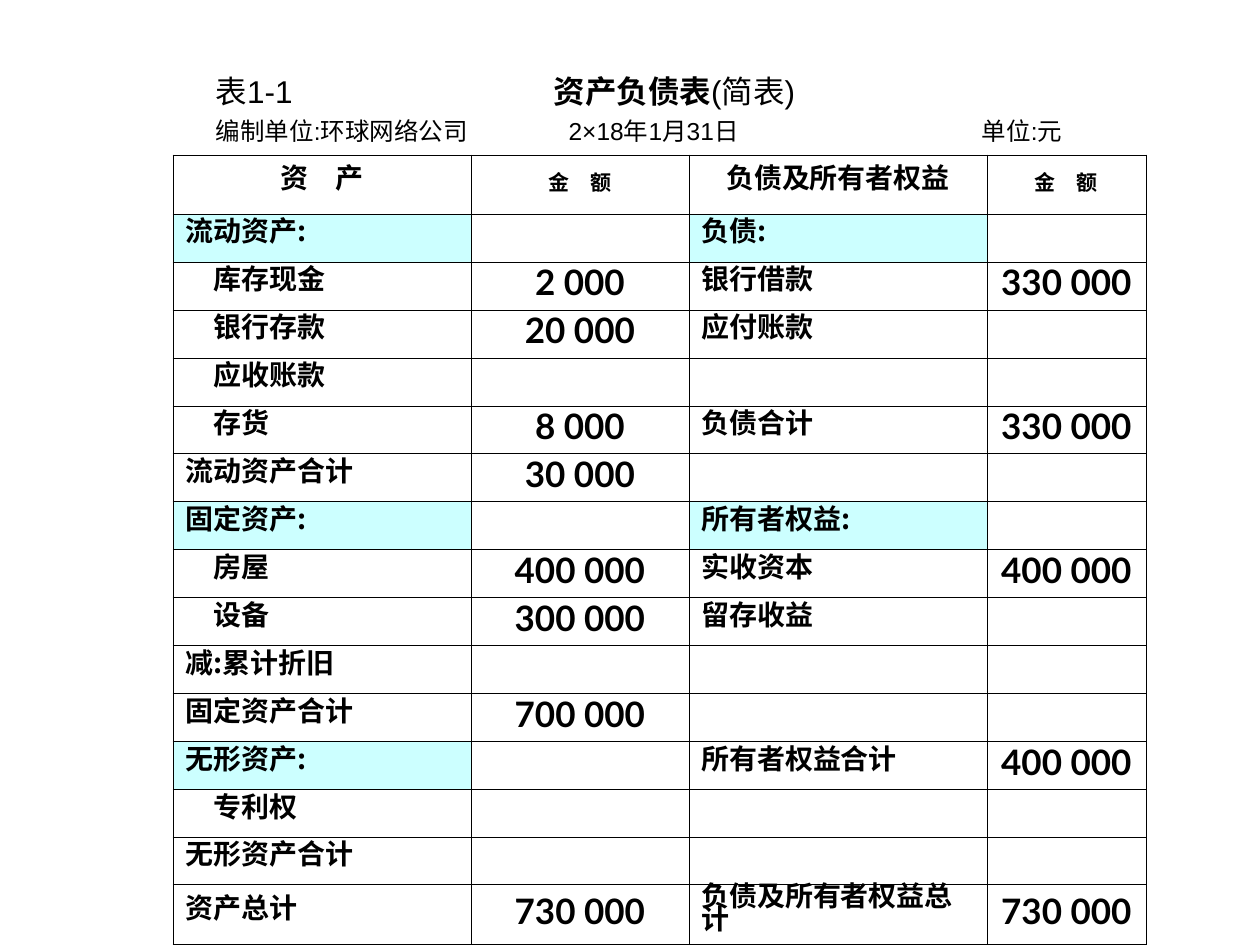
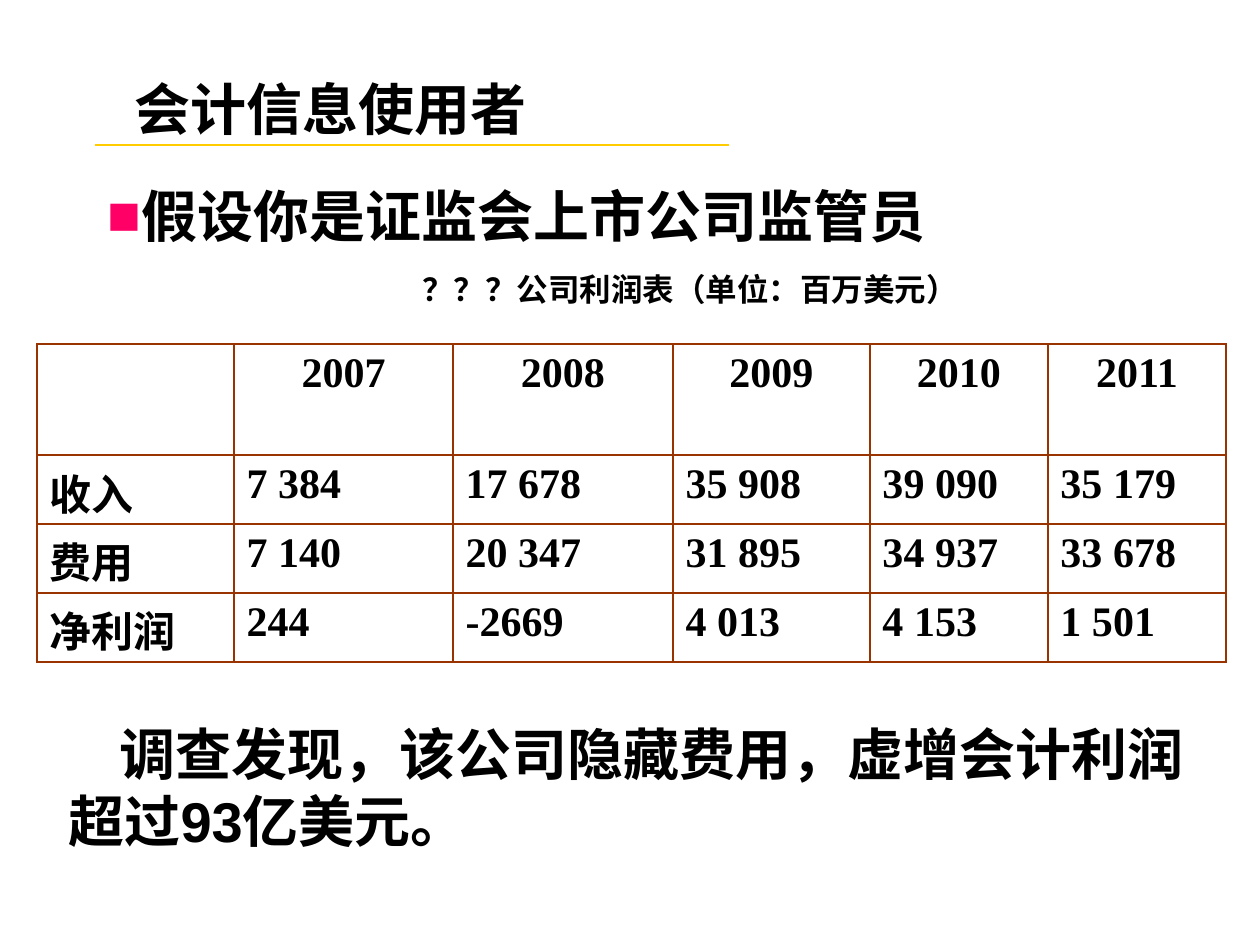
from lxml import etree
from pptx import Presentation
from pptx.dml.color import RGBColor
from pptx.enum.lang import MSO_LANGUAGE_ID
from pptx.enum.shapes import MSO_CONNECTOR
from pptx.enum.text import MSO_ANCHOR, MSO_AUTO_SIZE, PP_ALIGN
from pptx.oxml import parse_xml
from pptx.oxml.ns import nsdecls, qn
from pptx.util import Pt

PX = 914400 / 126
BLACK = RGBColor(0x00, 0x00, 0x00)
AQUA = RGBColor(0xCC, 0xFF, 0xFF)
YELLOW = RGBColor(0xFF, 0xCC, 0x00)
PINK = RGBColor(0xFF, 0x00, 0x66)
BROWN = RGBColor(0x99, 0x33, 0x00)
LEFT, CENTER = PP_ALIGN.LEFT, PP_ALIGN.CENTER
TOP, MIDDLE = MSO_ANCHOR.TOP, MSO_ANCHOR.MIDDLE
GROW = MSO_AUTO_SIZE.SHAPE_TO_FIT_TEXT
CHINESE = MSO_LANGUAGE_ID.SIMPLIFIED_CHINESE
CJK = "Noto Sans CJK SC"


def add_run(p, text, size, name="Arial", bold=True, east_asian=None):
    r = p.add_run()
    r.text = text
    fmt = {"size": Pt(size), "name": name, "bold": bold, "language_id": CHINESE}
    for key, value in fmt.items():
        setattr(r.font, key, value)
    r.font.color.rgb = BLACK
    ea = etree.SubElement(r.font._element, qn("a:ea"))
    ea.set("typeface", east_asian or name)


def add_grid(s, left, top, cols, rows, color, width):
    """Add an unfilled table with the same border round every cell."""
    box = [round(v * PX) for v in (left, top, sum(cols), sum(rows))]
    table = s.shapes.add_table(len(rows), len(cols), *box).table
    table.first_row = table.horz_banding = False
    for col, w in zip(table.columns, cols):
        col.width = round(w * PX)
    for row, h in zip(table.rows, rows):
        row.height = round(h * PX)
    for cell in table.iter_cells():
        cell.fill.background()
        tcPr = cell._tc.get_or_add_tcPr()
        for i, side in enumerate("LRTB"):
            tcPr.insert(i, parse_xml(
                f'<a:ln{side} {nsdecls("a")} w="{Pt(width)}"><a:solidFill>'
                f'<a:srgbClr val="{color}"/></a:solidFill></a:ln{side}>'))
    return table


prs = Presentation()
prs.slide_width, prs.slide_height = round(1260 * PX), round(945 * PX)

# Slide 1: balance sheet
s = prs.slides.add_slide(prs.slide_layouts[5])
sp = s.shapes.title
sp.left, sp.top, sp.width, sp.height = [round(v * PX) for v in (203, 66, 963, 86)]
tf = sp.text_frame
tf.word_wrap, tf.auto_size, tf.vertical_anchor = True, GROW, TOP
caption_lines = [
    ([338], [("表1-1\t", 18, False), ("资产负债表", 18, True), ("(简表)", 18, False)]),
    ([353, 766], [("编制单位:环球网络公司\t2×18年1月31日\t单位:元", 14, False)]),
]
for i, (stops, runs) in enumerate(caption_lines):
    p = tf.add_paragraph() if i else tf.paragraphs[0]
    p.alignment = LEFT
    if i:
        p.space_before = Pt(3.5)
    tabs = etree.SubElement(p._p.get_or_add_pPr(), qn("a:tabLst"))
    for stop in stops:
        etree.SubElement(tabs, qn("a:tab"), pos=str(round(stop * PX)), algn="l")
    for text, size, bold in runs:
        add_run(p, text, size, bold=bold)

balance_rows = [
    ("资　产", "金　额", "负债及所有者权益", "金　额"),
    ("流动资产:", "", "负债:", ""),
    ("库存现金", "2 000", "银行借款", "330 000"),
    ("银行存款", "20 000", "应付账款", ""),
    ("应收账款", "", "", ""),
    ("存货", "8 000", "负债合计", "330 000"),
    ("流动资产合计", "30 000", "", ""),
    ("固定资产:", "", "所有者权益:", ""),
    ("房屋", "400 000", "实收资本", "400 000"),
    ("设备", "300 000", "留存收益", ""),
    ("减:累计折旧", "", "", ""),
    ("固定资产合计", "700 000", "", ""),
    ("无形资产:", "", "所有者权益合计", "400 000"),
    ("专利权", "", "", ""),
    ("无形资产合计", "", "", ""),
    ("资产总计", "730 000", "负债及所有者权益总计", "730 000"),
]
indented_items = {"库存现金", "银行存款", "应收账款", "存货", "房屋", "设备", "专利权"}
row_heights = [59] + [48] * 4 + [47] + [48] * 8 + [47, 60]
table = add_grid(s, 173, 155, [298, 218, 298, 159], row_heights, BLACK, 0.45)
for i, row in enumerate(balance_rows):
    for j, text in enumerate(row):
        cell = table.cell(i, j)
        cell.vertical_anchor = MIDDLE
        is_amount = j % 2 == 1
        p = cell.text_frame.paragraphs[0]
        p.alignment = CENTER if is_amount or i == 0 else LEFT
        p.line_spacing = Pt(20 if is_amount and i and text else 13.5)
        if text in indented_items:
            p._p.get_or_add_pPr().set("marL", str(Pt(16)))
        if text.endswith(":"):
            cell.fill.solid()
            cell.fill.fore_color.rgb = AQUA
        if not text:
            etree.SubElement(p._p, qn("a:endParaRPr"), sz="1200")
        size = (20 if i else 12) if is_amount else 16
        for part in text.partition(":"):
            if part:
                add_run(p, part, size, CJK if part == ":" else "Lato", east_asian=CJK)

# Slide 2: profit statement
s = prs.slides.add_slide(prs.slide_layouts[1])
line = s.shapes.add_connector(
    MSO_CONNECTOR.STRAIGHT, *[round(v * PX) for v in (95, 145, 729, 145)])
line.line.color.rgb = YELLOW
line.line.width = Pt(0.75)
etree.SubElement(line._element.spPr, qn("a:effectLst"))

title, body = s.placeholders
caption, finding = [s.shapes.add_textbox(0, 0, 0, 0) for _ in range(2)]
text_boxes = [
    (title, (122, 68, 430, 81), 32, ["会计信息使用者"]),
    (body, (95, 175, 853, 81), 32, ["假设你是证监会上市公司监管员"]),
    (caption, (410, 264, 561, 50), 18, ["？？？公司利润表（单位：百万美元）"]),
    (finding, (56, 713, 1149, 147), 32,
     ["调查发现，该公司隐藏费用，虚增会计利润", "超过93亿美元。"]),
]
for sp, box, size, lines in text_boxes:
    sp.left, sp.top, sp.width, sp.height = [round(v * PX) for v in box]
    tf = sp.text_frame
    tf.word_wrap, tf.auto_size, tf.vertical_anchor = False, GROW, TOP
    for i, text in enumerate(lines):
        p = tf.add_paragraph() if i else tf.paragraphs[0]
        p.alignment = LEFT
        p.space_before = Pt(0)
        add_run(p, text, size)

pPr = body.text_frame.paragraphs[0]._p.get_or_add_pPr()
pPr.set("marL", "0")
pPr.set("indent", "0")
color = etree.SubElement(pPr, qn("a:buClr"))
etree.SubElement(color, qn("a:srgbClr"), val=str(PINK))
etree.SubElement(pPr, qn("a:buFont"), typeface="Arial")
etree.SubElement(pPr, qn("a:buChar"), char="■")
finding.text_frame.paragraphs[0]._p.get_or_add_pPr().set("indent", str(round(51 * PX)))

profit_rows = [
    ("", "2007", "2008", "2009", "2010", "2011"),
    ("收入", "7 384", "17 678", "35 908", "39 090", "35 179"),
    ("费用", "7 140", "20 347", "31 895", "34 937", "33 678"),
    ("净利润", "244", "-2669", "4 013", "4 153", "1 501"),
]
table = add_grid(s, 37, 344, [197, 219, 220, 197, 178, 178], [111, 69, 69, 69], BROWN, 0.96)
for i, row in enumerate(profit_rows):
    for j, text in enumerate(row):
        cell = table.cell(i, j)
        cell.margin_bottom = 0
        p = cell.text_frame.paragraphs[0]
        p.alignment = LEFT if i else CENTER
        if text:
            add_run(p, text, 24, "Times New Roman", east_asian=CJK)

prs.save("out.pptx")
